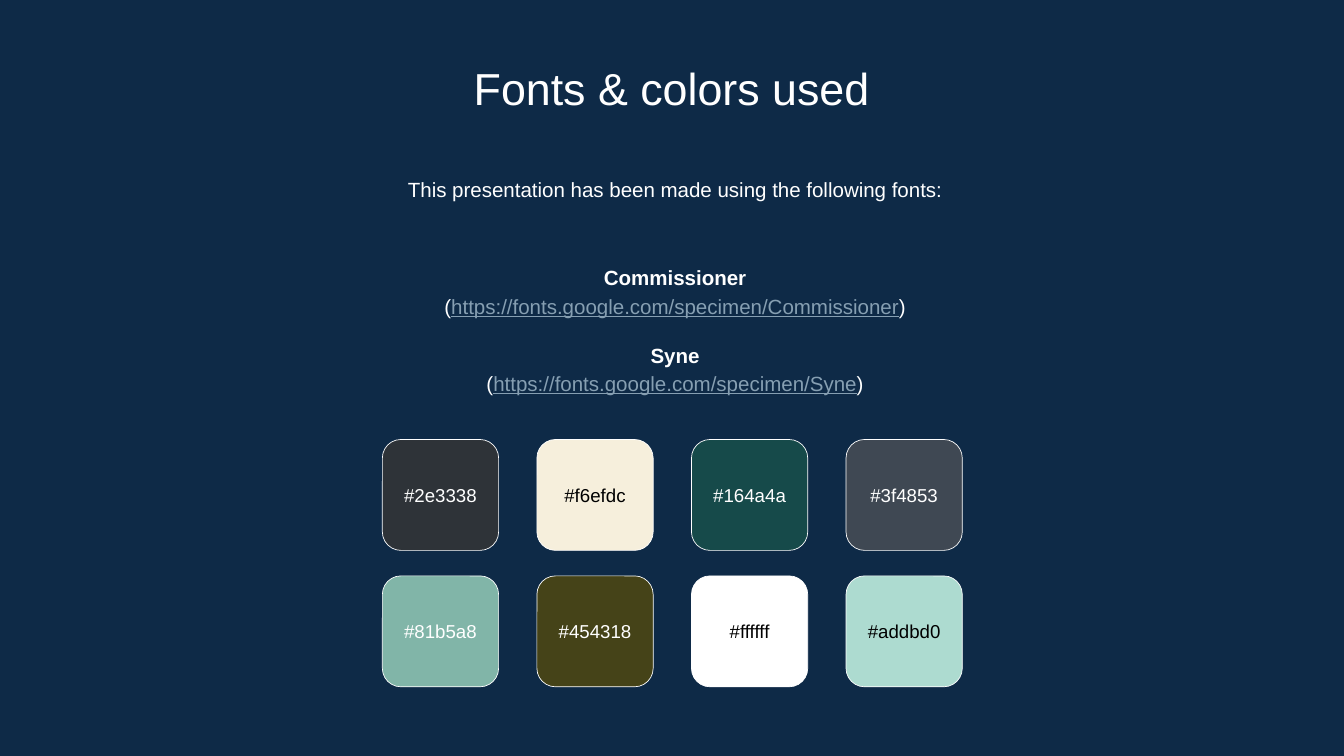
"""Build the slide that lists the fonts and colours used in a presentation."""
from pptx import Presentation
from pptx.dml.color import RGBColor
from pptx.enum.shapes import MSO_SHAPE
from pptx.enum.text import MSO_ANCHOR, MSO_AUTO_SIZE, PP_ALIGN
from pptx.util import Inches, Pt

TITLE = "Fonts & colors used"
INTRO = "This presentation has been made using the following fonts:"
FONTS = [
    ("Commissioner", "https://fonts.google.com/specimen/Commissioner"),
    ("Syne", "https://fonts.google.com/specimen/Syne"),
]
SWATCHES = [
    [("2e3338", "FFFFFF"), ("f6efdc", "000000"), ("164a4a", "FFFFFF"), ("3f4853", "FFFFFF")],
    [("81b5a8", "FFFFFF"), ("454318", "FFFFFF"), ("ffffff", "000000"), ("addbd0", "000000")],
]
NAVY, WHITE, LINK = "0E2A47", "FFFFFF", "869FB2"
GRID_LEFT, GRID_TOP = 5.69, 6.54
COLUMN_STEP, ROW_STEP = 2.3, 2.03
SWATCH_WIDTH, SWATCH_HEIGHT = 1.73, 1.65


def color(hex_value):
    return RGBColor.from_string(hex_value.upper())


def set_frame(frame, anchor):
    frame.word_wrap = True
    frame.auto_size = MSO_AUTO_SIZE.NONE
    frame.vertical_anchor = anchor
    frame.margin_left = frame.margin_right = Inches(0.2)
    frame.margin_top = frame.margin_bottom = Inches(0.2)


def set_paragraph(paragraph, size, hex_value=WHITE, bold=False, spacing=None):
    paragraph.alignment = PP_ALIGN.CENTER
    paragraph.line_spacing = spacing
    font = paragraph.font
    font.name, font.size, font.bold = "Arial", Pt(size), bold
    font.color.rgb = color(hex_value)


def add_title(slide):
    title = slide.shapes.title
    title.left, title.top = Inches(2.29), Inches(0.71)
    title.width, title.height = Inches(15.41), Inches(1.06)
    title.text_frame.text = TITLE
    set_frame(title.text_frame, MSO_ANCHOR.TOP)
    set_paragraph(title.text_frame.paragraphs[0], 48)


def add_body(slide, top, height, anchor):
    box = slide.shapes.add_textbox(Inches(2.34), Inches(top), Inches(15.41), Inches(height))
    set_frame(box.text_frame, anchor)
    return box.text_frame


def add_fonts(slide):
    frame = add_body(slide, 3.52, 2.74, MSO_ANCHOR.MIDDLE)
    for index, (family, address) in enumerate(FONTS):
        heading = frame.add_paragraph() if index else frame.paragraphs[0]
        heading.text = family
        set_paragraph(heading, 22, bold=True, spacing=1.15)
        if index:
            heading.space_before = Pt(22)
        source = frame.add_paragraph()
        set_paragraph(source, 22, spacing=1.15)
        for part in ("(", address, ")"):
            run = source.add_run()
            run.text = part
            if part == address:
                run.font.underline = True
                run.font.color.rgb = color(LINK)


def add_swatch(slide, left, top, fill, ink):
    swatch = slide.shapes.add_shape(
        MSO_SHAPE.ROUNDED_RECTANGLE,
        Inches(left), Inches(top), Inches(SWATCH_WIDTH), Inches(SWATCH_HEIGHT),
    )
    swatch.shadow.inherit = False
    swatch.fill.solid()
    swatch.fill.fore_color.rgb = color(fill)
    swatch.line.color.rgb = color(WHITE)
    swatch.line.width = Pt(0.75)
    swatch.text_frame.text = f"#{fill}"
    set_frame(swatch.text_frame, MSO_ANCHOR.MIDDLE)
    set_paragraph(swatch.text_frame.paragraphs[0], 20, ink)


def main():
    presentation = Presentation()
    presentation.slide_width, presentation.slide_height = Inches(20), Inches(11.25)
    slide = presentation.slides.add_slide(presentation.slide_layouts[5])
    slide.background.fill.solid()
    slide.background.fill.fore_color.rgb = color(NAVY)

    add_title(slide)
    intro = add_body(slide, 2.38, 0.96, MSO_ANCHOR.TOP)
    intro.text = INTRO
    set_paragraph(intro.paragraphs[0], 22, spacing=1.15)
    add_fonts(slide)
    for row, swatches in enumerate(SWATCHES):
        for column, (fill, ink) in enumerate(swatches):
            left = GRID_LEFT + column * COLUMN_STEP
            add_swatch(slide, left, GRID_TOP + row * ROW_STEP, fill, ink)

    presentation.save("out.pptx")


if __name__ == "__main__":
    main()
